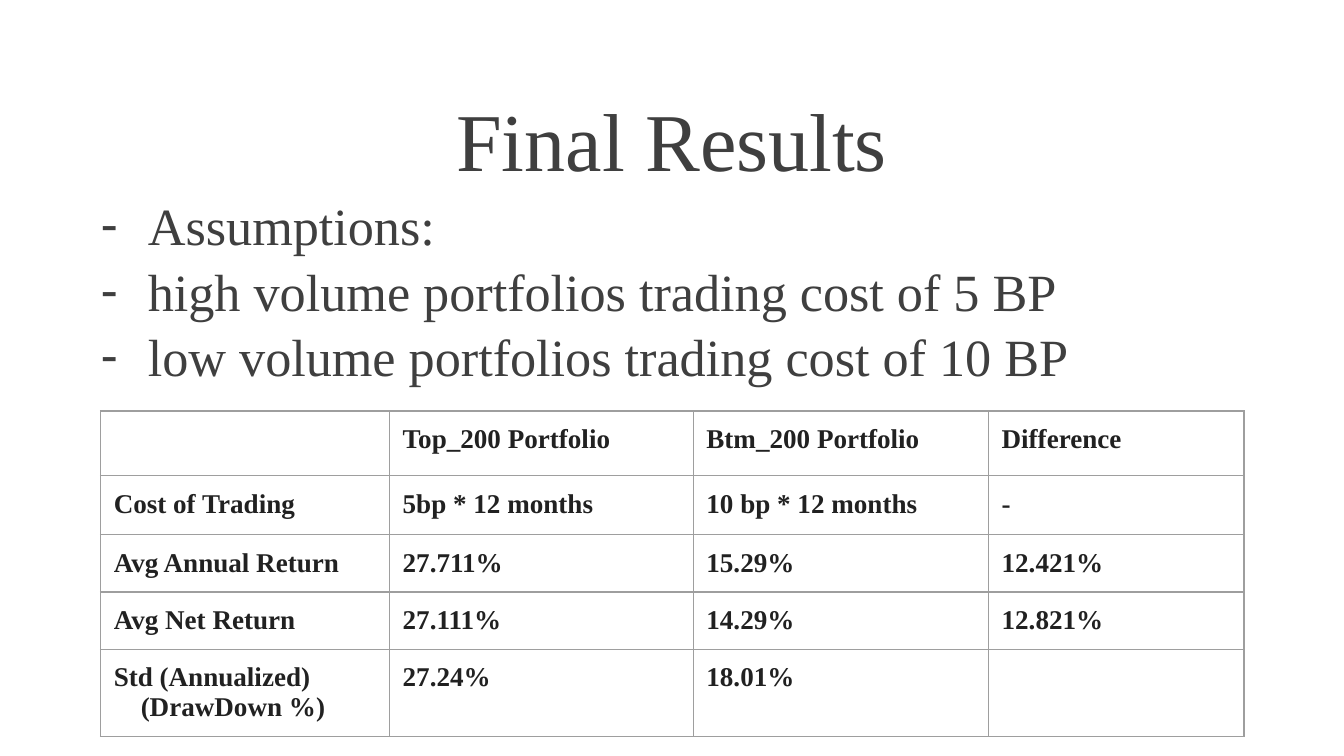
from dataclasses import dataclass

import lxml.etree
import pptx
import pptx.dml.color
import pptx.enum.text
import pptx.oxml.ns
import pptx.util

Cm = pptx.util.Cm
Pt = pptx.util.Pt
qn = pptx.oxml.ns.qn

FONT = "Times New Roman"
COLORS = {"head": "3F3F3F", "cell": "212121", "rule": "9E9E9E"}
PAD = Cm(0.25)
WIDTHS = (5.46, 5.74, 5.58, 4.83)
HEIGHTS = (1.22, 1.12, 1.08, 1.08, 1.65)


@dataclass
class Box:
    left: float
    top: float
    width: float
    height: float


@dataclass
class Style:
    size: float
    color: str
    bold: bool = False


TITLE = Style(44, "head")
LIST = Style(28, "head")
CELL = Style(14.5, "cell", True)

POINTS = (
    "Assumptions:",
    "high volume portfolios trading cost of 5 BP",
    "low volume portfolios trading cost of 10 BP",
)
ROWS = (
    ("", "Top_200 Portfolio", "Btm_200 Portfolio", "Difference"),
    ("Cost of Trading", "5bp * 12 months", "10 bp * 12 months", "-"),
    ("Avg Annual Return", "27.711%", "15.29%", "12.421%"),
    ("Avg Net Return", "27.111%", "14.29%", "12.821%"),
    ("Std (Annualized)\n(DrawDown %)", "27.24%", "18.01%", ""),
)


def add_run(para, text: str, style: Style) -> None:
    run = para.add_run()
    run.text = text
    font = run.font
    font.name = FONT
    font.size = Pt(style.size)
    font.bold = style.bold
    font.color.rgb = pptx.dml.color.RGBColor.from_string(COLORS[style.color])


def place(shape, box: Box, anchor):
    """Move a placeholder and return its text frame, set to a fixed size."""
    shape.left, shape.top = Cm(box.left), Cm(box.top)
    shape.width, shape.height = Cm(box.width), Cm(box.height)
    frame = shape.text_frame
    frame.word_wrap = True
    frame.auto_size = pptx.enum.text.MSO_AUTO_SIZE.NONE
    frame.vertical_anchor = anchor
    return frame


def indent(para, left: float, first: float = 0):
    props = para._p.get_or_add_pPr()
    props.set("marL", str(Cm(left)))
    props.set("indent", str(Cm(first)))
    return props


def add_dash(para) -> None:
    props = indent(para, 1.27, -0.89)
    color = lxml.etree.SubElement(props, qn("a:buClr"))
    lxml.etree.SubElement(color, qn("a:srgbClr"), val=COLORS["head"])
    lxml.etree.SubElement(props, qn("a:buChar"), char="-")


def add_rules(cell) -> None:
    """Draw a thin line on all four sides of a cell."""
    props = cell._tc.get_or_add_tcPr()
    for side in ("lnL", "lnR", "lnT", "lnB"):
        line = lxml.etree.SubElement(props, qn(f"a:{side}"), w=str(Pt(0.75)))
        fill = lxml.etree.SubElement(line, qn("a:solidFill"))
        lxml.etree.SubElement(fill, qn("a:srgbClr"), val=COLORS["rule"])


def fill_cell(cell, text: str) -> None:
    add_rules(cell)
    cell.fill.background()
    if not text:
        return
    cell.margin_left = cell.margin_right = PAD
    cell.margin_top = cell.margin_bottom = PAD
    frame = cell.text_frame
    for num, line in enumerate(text.split("\n")):
        para = frame.add_paragraph() if num else frame.paragraphs[0]
        if num:
            indent(para, 0.51)
        add_run(para, line, CELL)


def add_grid(slide, box: Box) -> None:
    grid = slide.shapes.add_table(
        len(ROWS), len(WIDTHS),
        Cm(box.left), Cm(box.top), Cm(box.width), Cm(box.height),
    ).table
    grid.first_row = grid.horz_banding = False
    for col, width in zip(grid.columns, WIDTHS):
        col.width = Cm(width)
    for row, height, texts in zip(grid.rows, HEIGHTS, ROWS):
        row.height = Cm(height)
        for cell, text in zip(row.cells, texts):
            fill_cell(cell, text)


def main() -> None:
    deck = pptx.Presentation()
    deck.slide_width, deck.slide_height = Cm(25.4), Cm(14.29)
    slide = deck.slides.add_slide(deck.slide_layouts[1])
    anchor = pptx.enum.text.MSO_ANCHOR

    frame = place(slide.shapes.title, Box(1.27, 1.88, 22.86, 1.47), anchor.MIDDLE)
    para = frame.paragraphs[0]
    para.alignment = pptx.enum.text.PP_ALIGN.CENTER
    add_run(para, "Final Results", TITLE)

    frame = place(slide.placeholders[1], Box(1.27, 3.53, 22.86, 5.44), anchor.TOP)
    for num, text in enumerate(POINTS):
        para = frame.add_paragraph() if num else frame.paragraphs[0]
        para.space_before = Pt(1.5 if num else 3.6)
        add_dash(para)
        add_run(para, text, LIST)

    add_grid(slide, Box(1.9, 7.77, sum(WIDTHS), sum(HEIGHTS)))
    deck.save("out.pptx")


if __name__ == "__main__":
    main()
